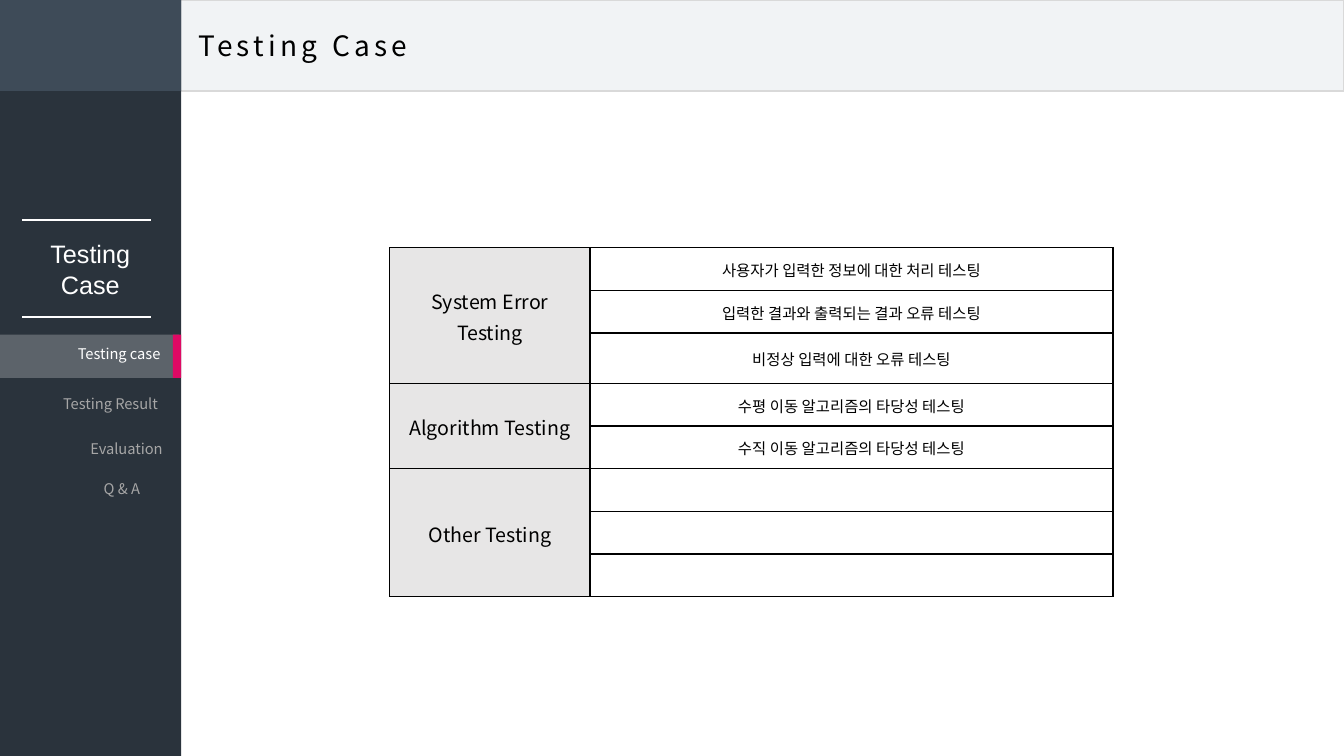
"""Build the Testing Case slide with its sidebar menu and test table."""
from dataclasses import dataclass
from typing import Any, Optional

from lxml.etree import SubElement
from pptx import Presentation
from pptx.dml.color import RGBColor
from pptx.enum.shapes import MSO_CONNECTOR, MSO_SHAPE
from pptx.enum.text import MSO_ANCHOR, PP_ALIGN
from pptx.oxml import parse_xml
from pptx.oxml.ns import nsdecls, qn
from pptx.util import Pt

SANS, ARIAL = "Noto Sans CJK KR", "Arial"
BLACK, WHITE, MUTED = "000000", "FFFFFF", "A6A6A6"
LABEL_FILL = "E7E6E6"
ROW_H, TALL_ROW_H = 30.45, 36


@dataclass
class Panel:
    """A filled rectangle."""
    box: tuple[float, ...]
    fill: str
    line: Optional[str] = None
    opacity: Optional[int] = None


@dataclass
class Rule:
    """A horizontal white line in the sidebar."""
    y: float
    width: float


@dataclass
class Label:
    """A text box with one paragraph per line."""
    box: tuple[float, ...]
    lines: list[str]
    size: float = 10.5
    color: str = MUTED
    font: str = SANS
    align: PP_ALIGN = PP_ALIGN.LEFT
    wrap: bool = True
    spacing: int = 0


@dataclass
class Group:
    """A table category and the tests that belong to it."""
    name: str
    tests: list[str]


PANELS = [
    Panel((113, 0, 847, 65), "F1F3F5", line="D9D9D9"),
    Panel((0, 0, 129.5, 540), "2A333C"),
    Panel((0, 0, 129.5, 65), "3E4B58"),
    Panel((0, 239, 128, 31), WHITE, opacity=24),
    Panel((123.5, 239, 6, 31), "DE0964"),
]
RULES = [Rule(157, 1.5), Rule(226.5, 1)]
LABELS = [
    Label((134.5, 16.5, 165, 32), ["Testing Case"], 20, BLACK, wrap=False, spacing=3),
    Label((28.5, 167, 72, 51), ["Testing", "Case"], 18, WHITE, ARIAL,
          PP_ALIGN.CENTER, wrap=False),
    Label((48.5, 243, 75, 21), ["Testing case"], color=WHITE),
    Label((38, 278.5, 86, 20), ["Testing Result"]),
    Label((57.5, 310.5, 70, 20), ["Evaluation"]),
    Label((67, 339, 46, 20), ["Q & A"], wrap=False),
]
GROUPS = [
    Group("System Error Testing", ["사용자가 입력한 정보에 대한 처리 테스팅",
                                   "입력한 결과와 출력되는 결과 오류 테스팅",
                                   "비정상 입력에 대한 오류 테스팅"]),
    Group("Algorithm Testing", ["수평 이동 알고리즘의 타당성 테스팅",
                                "수직 이동 알고리즘의 타당성 테스팅"]),
    Group("Other Testing", ["", "", ""]),
]


def rgb(value: str) -> RGBColor:
    """Turn a hex string into a colour."""
    return RGBColor.from_string(value)


def assign(target: Any, values: dict[str, Any]) -> None:
    """Set every attribute in values on target."""
    for name, value in values.items():
        setattr(target, name, value)


def add_run(p: Any, text: str, size: float, color: str, font: str = SANS,
            spacing: int = 0) -> None:
    """Add a formatted run to a paragraph."""
    r = p.add_run()
    r.text = text
    assign(r.font, {"size": Pt(size), "name": font})
    r.font.color.rgb = rgb(color)
    rpr = r.font._element
    SubElement(rpr, qn("a:ea")).set("typeface", font)
    if spacing:
        rpr.set("spc", str(spacing * 100))


def draw_panel(s: Any, panel: Panel) -> None:
    """Draw a rectangle with optional outline and opacity."""
    sp = s.shapes.add_shape(MSO_SHAPE.RECTANGLE, *map(Pt, panel.box))
    sp.shadow.inherit = False
    sp.fill.solid()
    sp.fill.fore_color.rgb = rgb(panel.fill)
    if panel.opacity is not None:
        clr = sp._element.spPr.find(qn("a:solidFill"))[0]
        SubElement(clr, qn("a:alpha")).set("val", str(panel.opacity * 1000))
    if panel.line:
        sp.line.color.rgb = rgb(panel.line)
        sp.line.width = Pt(1)
    else:
        sp.line.fill.background()


def draw_rule(s: Any, rule: Rule) -> None:
    """Draw a sidebar line."""
    cx = s.shapes.add_connector(MSO_CONNECTOR.STRAIGHT, Pt(16), Pt(rule.y),
                                Pt(108), Pt(rule.y))
    cx.line.color.rgb = rgb(WHITE)
    cx.line.width = Pt(rule.width)
    SubElement(cx._element.spPr, qn("a:effectLst"))


def draw_label(s: Any, label: Label) -> None:
    """Draw a text box."""
    tf = s.shapes.add_textbox(*map(Pt, label.box)).text_frame
    tf.word_wrap = label.wrap
    for i, line in enumerate(label.lines):
        p = tf.add_paragraph() if i else tf.paragraphs[0]
        p.alignment = label.align
        add_run(p, line, label.size, label.color, label.font, label.spacing)


def style_cell(cell: Any, fill: str) -> None:
    """Give a cell its fill, margins and black borders."""
    assign(cell, {"margin_left": Pt(5), "margin_right": Pt(5), "margin_top": 0,
                  "margin_bottom": 0, "vertical_anchor": MSO_ANCHOR.MIDDLE})
    cell.fill.solid()
    cell.fill.fore_color.rgb = rgb(fill)
    tcpr = cell._tc.get_or_add_tcPr()
    for i, side in enumerate("LRTB"):
        tcpr.insert(i, parse_xml(
            f'<a:ln{side} {nsdecls("a")} w="{Pt(1)}"><a:solidFill>'
            f'<a:srgbClr val="{BLACK}"/></a:solidFill></a:ln{side}>'))


def write_cell(cell: Any, text: str, size: float) -> None:
    """Write centred text into a cell."""
    p = cell.text_frame.paragraphs[0]
    assign(p, {"alignment": PP_ALIGN.CENTER, "line_spacing": 1.07})
    if text:
        add_run(p, text, size, BLACK)


def draw_table(s: Any, groups: list[Group]) -> None:
    """Draw the table with one merged label per group."""
    heights = [ROW_H] * sum(len(g.tests) for g in groups)
    heights[2] = TALL_ROW_H
    table = s.shapes.add_table(len(heights), 2, Pt(278.5), Pt(177), Pt(516.5),
                               Pt(sum(heights))).table
    assign(table, {"first_row": False, "horz_banding": False})
    for col, width in zip(table.columns, (143, 373.5)):
        col.width = Pt(width)
    for row, height in zip(table.rows, heights):
        row.height = Pt(height)
        for cell, fill in zip(row.cells, (LABEL_FILL, WHITE)):
            style_cell(cell, fill)
    top = 0
    for group in groups:
        end = top + len(group.tests)
        table.cell(top, 0).merge(table.cell(end - 1, 0))
        write_cell(table.cell(top, 0), group.name, 14)
        for i, test in enumerate(group.tests, top):
            write_cell(table.cell(i, 1), test, 11)
        top = end


def main() -> None:
    """Build and save the slide."""
    prs = Presentation()
    assign(prs, {"slide_width": Pt(960), "slide_height": Pt(540)})
    s = prs.slides.add_slide(prs.slide_layouts[6])
    for panel in PANELS:
        draw_panel(s, panel)
    for rule in RULES:
        draw_rule(s, rule)
    for label in LABELS:
        draw_label(s, label)
    draw_table(s, GROUPS)
    prs.save("out.pptx")


main()
